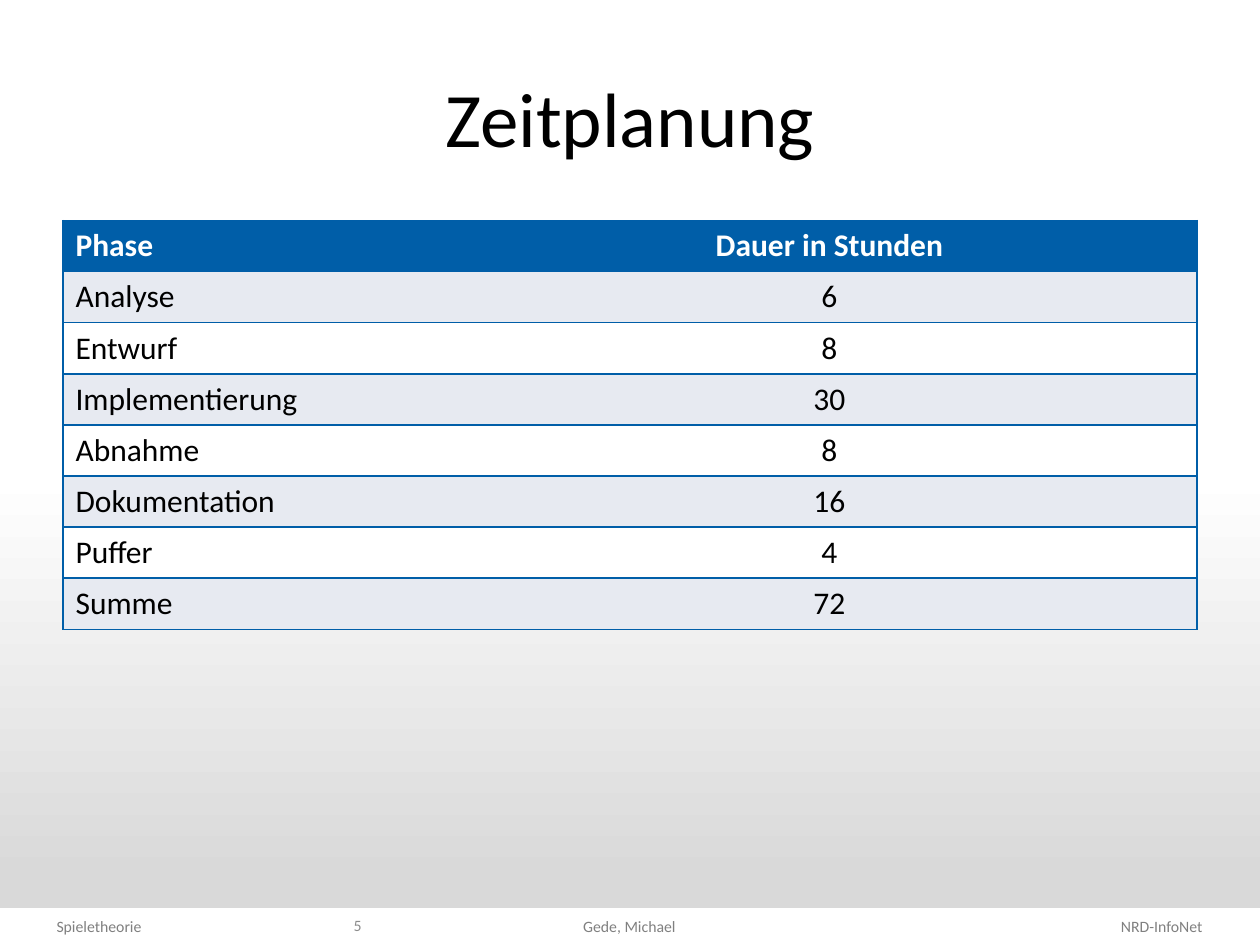
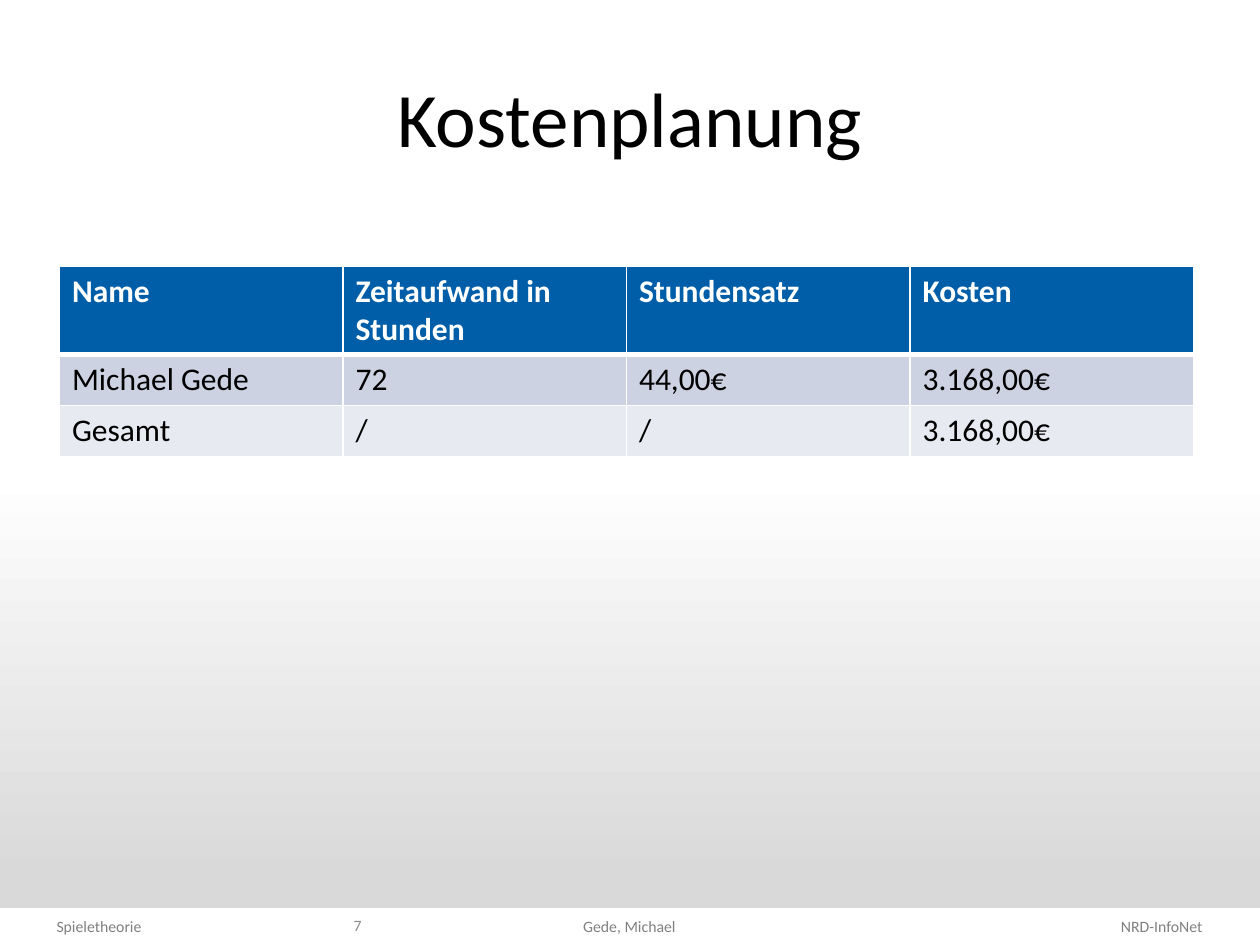
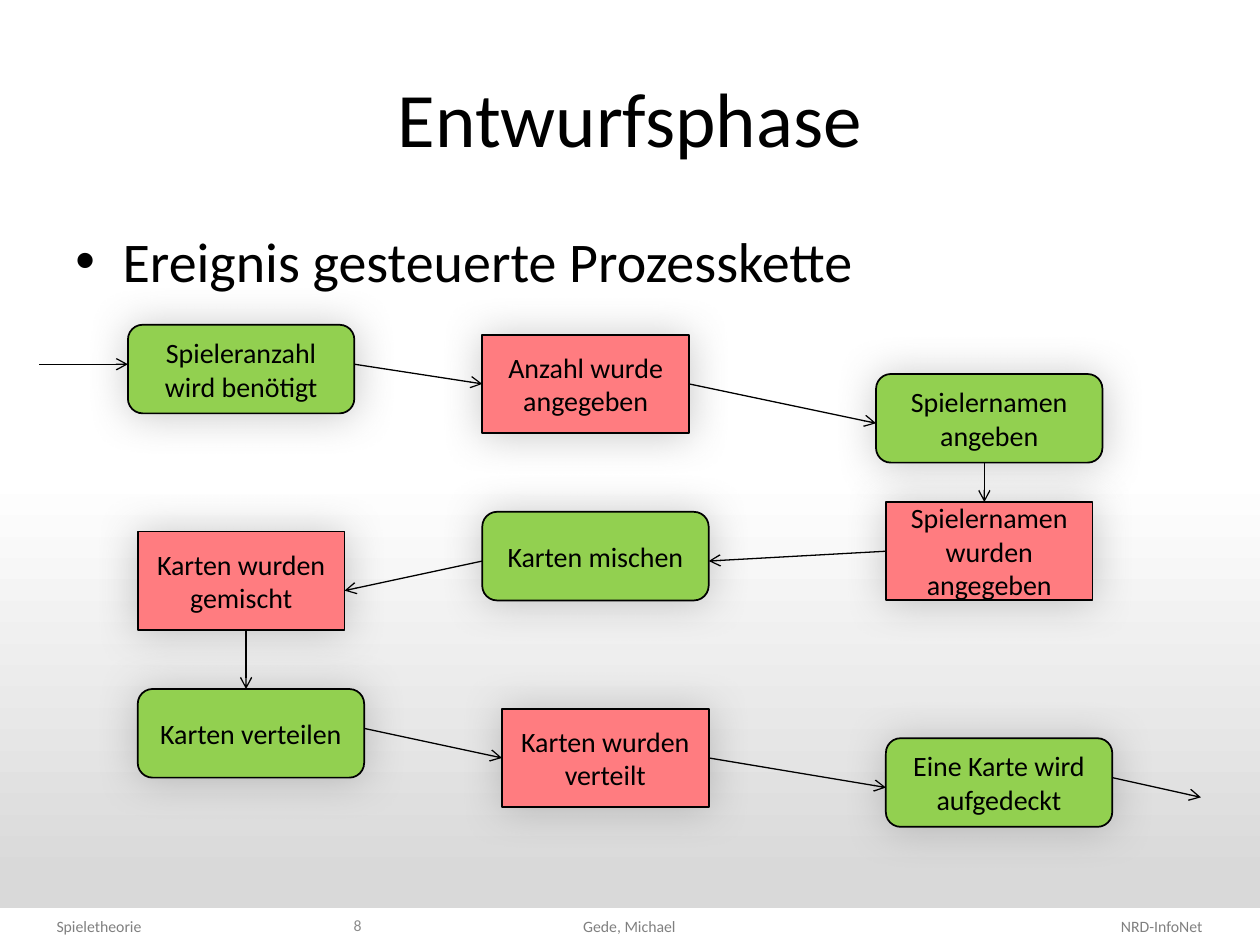
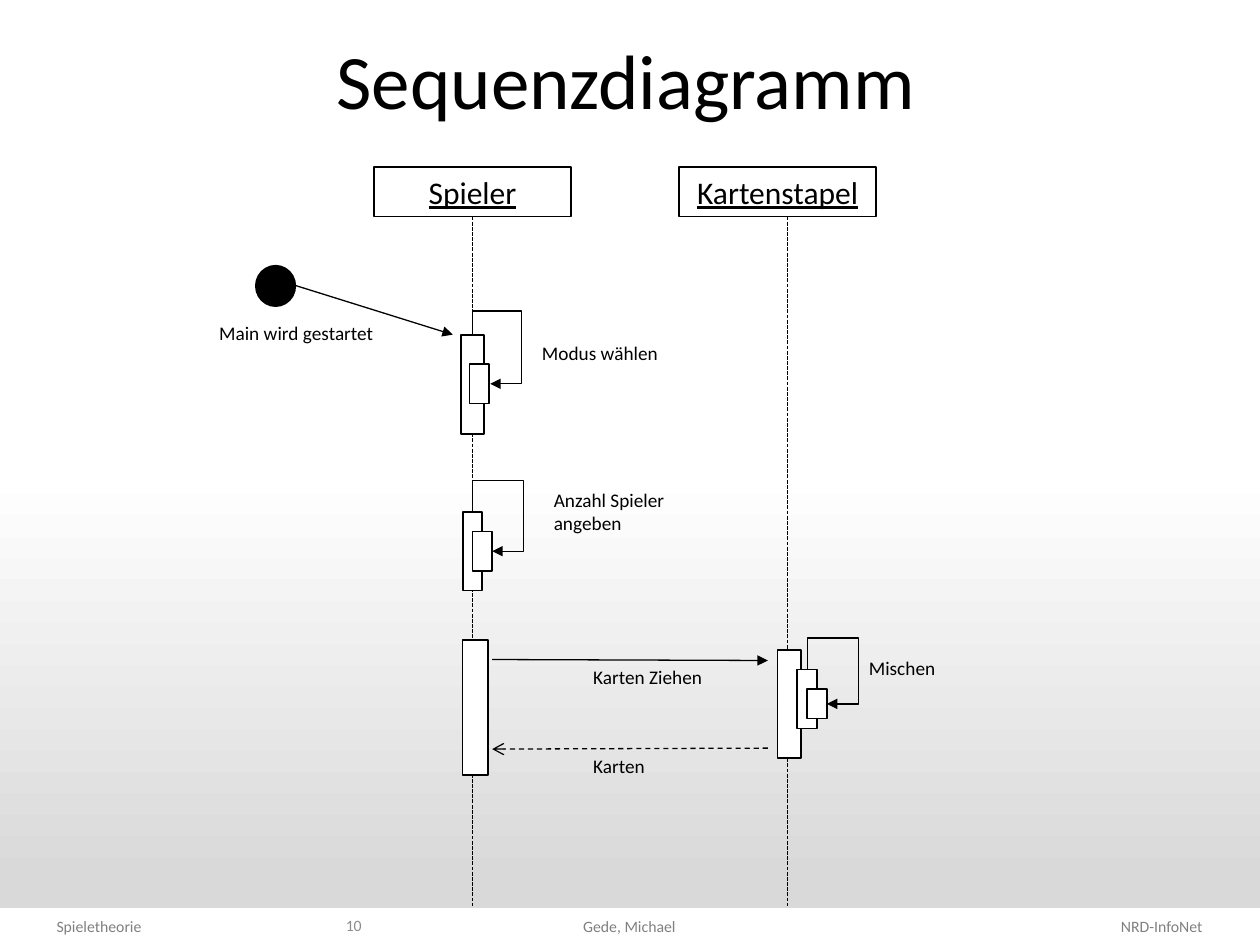
from lxml import etree
from pptx import Presentation
from pptx.dml.color import RGBColor
from pptx.enum import dml, shapes, text
from pptx.oxml import ns
from pptx.util import Pt

WHITE = RGBColor(0xFF, 0xFF, 0xFF)
BLACK = RGBColor(0x00, 0x00, 0x00)
BLUE = RGBColor(0x00, 0x5E, 0xA8)
BAND_DARK = RGBColor(0xCC, 0xD2, 0xE1)
BAND_LIGHT = RGBColor(0xE7, 0xEA, 0xF1)
GREEN = RGBColor(0x92, 0xD0, 0x50)
RED = RGBColor(0xFF, 0x7C, 0x80)
SHADOW_GREY = RGBColor(0x80, 0x80, 0x80)
FOOTER_GREY = RGBColor(0x80, 0x80, 0x80)
NUMBER_GREY = RGBColor(0x8C, 0x8C, 0x8C)
BACK_GREY = RGBColor(0xD9, 0xD9, 0xD9)

FONT = "Calibri"
PAGE_WIDTH, PAGE_HEIGHT = 720, 540
GRID = 45 / 8
TITLE_BOX = (36, 21.6, 648, 90)
FOOTER_BOX = (0, 519, PAGE_WIDTH, 21)
NO_STYLE = "{2D5ABB26-0587-4C30-8999-92F81FD0307C}"
LEFT, CENTER, RIGHT = text.PP_ALIGN.LEFT, text.PP_ALIGN.CENTER, text.PP_ALIGN.RIGHT
TOP, MIDDLE = text.MSO_ANCHOR.TOP, text.MSO_ANCHOR.MIDDLE
RECT = shapes.MSO_SHAPE.RECTANGLE
ROUNDED = shapes.MSO_SHAPE.ROUNDED_RECTANGLE
OVAL = shapes.MSO_SHAPE.OVAL


def points(lengths):
    """Turn plain numbers into point lengths."""
    return [Pt(length) for length in lengths]


def on_grid(box, col, row, width=0, height=0):
    """Turn grid units inside a box into a page position in points."""
    return (box[0] + col * GRID, box[1] + row * GRID, width * GRID, height * GRID)


def add_xml(parent, tag, **attributes):
    """Append a drawing element and return it."""
    names = {key: str(value) for key, value in attributes.items()}
    return etree.SubElement(parent, ns.qn(tag), names)


def write(frame, words, size=18, color=BLACK, align=LEFT, anchor=TOP, bold=False, underline=False):
    """Fill a text frame with one formatted paragraph."""
    frame.word_wrap = True
    frame.vertical_anchor = anchor
    para = frame.paragraphs[0]
    para.alignment = align
    span = para.add_run()
    span.text = words
    span.font.name = FONT
    span.font.size = Pt(size)
    span.font.color.rgb = color
    span.font.bold = bold
    span.font.underline = underline
    return para


def add_label(page, box, words, **style):
    """Add a text box."""
    return write(page.shapes.add_textbox(*points(box)).text_frame, words, **style)


def add_figure(page, kind, box, fill, line=BLACK):
    """Add a flat preset shape with an optional outline."""
    figure = page.shapes.add_shape(kind, *points(box))
    figure.fill.solid()
    figure.fill.fore_color.rgb = fill
    if line is None:
        figure.line.fill.background()
    else:
        figure.line.color.rgb = line
        figure.line.width = Pt(1)
    figure.shadow.inherit = False
    return figure


def add_glow(figure):
    """Give a figure a wide soft shadow."""
    effects = figure.element.spPr.find(ns.qn("a:effectLst"))
    shadow = add_xml(effects, "a:outerShdw", blurRad=Pt(24), dist=Pt(1), dir=5400000, rotWithShape=0)
    color = add_xml(shadow, "a:srgbClr", val=SHADOW_GREY)
    add_xml(color, "a:alpha", val=43000)


def add_line(page, start, end, head=None, dash=None, kind=shapes.MSO_CONNECTOR.STRAIGHT):
    """Add a thin black connector with an optional arrowhead."""
    line = page.shapes.add_connector(kind, *points(start[:2] + end[:2]))
    line.line.color.rgb = BLACK
    line.line.width = Pt(0.75)
    if dash is not None:
        line.line.dash_style = dash
    if head:
        add_xml(line.line._get_or_add_ln(), "a:tailEnd", type=head)
    add_xml(line.element.spPr, "a:effectLst")
    return line


def add_loop(page, start, end, rise, reach):
    """Add a bent arrow that rises from start, reaches right and returns to end."""
    across, down = end[0] - start[0], end[1] - start[1]
    mid_x, mid_y = (start[0] + end[0]) / 2, (start[1] + end[1]) / 2
    right_top = (mid_x + down / 2, mid_y - across / 2)
    left_bottom = (mid_x - down / 2, mid_y + across / 2)
    loop = add_line(page, right_top, left_bottom, head="triangle", kind=shapes.MSO_CONNECTOR.ELBOW)
    properties = loop.element.spPr
    properties.find(ns.qn("a:xfrm")).set("rot", str(270 * 60000))
    geometry = properties.find(ns.qn("a:prstGeom"))
    geometry.set("prst", "bentConnector4")
    guides = geometry.find(ns.qn("a:avLst"))
    for name, ratio in (("adj1", -rise / down), ("adj2", reach / across)):
        add_xml(guides, "a:gd", name=name, fmla=f"val {round(ratio * 100000)}")


def set_borders(cell, color, widths):
    """Draw the cell sides named in widths, which maps L, R, T, B to points."""
    properties = cell._tc.get_or_add_tcPr()
    sides = [side for side in "LRTB" if side in widths]
    for index, side in enumerate(sides):
        line = add_xml(properties, f"a:ln{side}", w=Pt(widths[side]))
        add_xml(add_xml(line, "a:solidFill"), "a:srgbClr", val=color)
        properties.insert(index, line)


def add_grid(page, box, rows, widths, heights, fills, aligns, borders):
    """Add a table; borders gives the line colour and widths of each cell."""
    table = page.shapes.add_table(len(rows), len(widths), *points(box)).table
    table._tbl.tblPr.find(ns.qn("a:tableStyleId")).text = NO_STYLE
    for column, width in zip(table.columns, widths):
        column.width = Pt(width)
    for r, values in enumerate(rows):
        table.rows[r].height = Pt(heights[r])
        for c, value in enumerate(values):
            cell = table.cell(r, c)
            cell.fill.solid()
            cell.fill.fore_color.rgb = fills[r]
            write(cell.text_frame, value, color=BLACK if r else WHITE, bold=r == 0, align=aligns[c])
            set_borders(cell, *borders(r, c))


def add_footer(page, box, number):
    """Add the white band with its three texts and the slide number."""
    left, top, width, height = box
    add_figure(page, RECT, box, WHITE, line=None)
    texts = (
        ("Spieletheorie", 25.2, 203, LEFT),
        ("Gede, Michael", 300.2, 118.8, CENTER),
        ("NRD-InfoNet", 575.3, 118.8, RIGHT),
    )
    for words, offset, span_width, align in texts:
        add_label(page, (left + offset, top + 1.5, span_width, 18), words,
                  size=9, color=FOOTER_GREY, align=align)
    add_label(page, (left + 84.2, top - 1.3, 129.6, 22.3), number,
              size=9, color=NUMBER_GREY, align=RIGHT, anchor=MIDDLE)


def add_page(deck, title, number, title_box=TITLE_BOX):
    """Add a title-only slide with its title and footer."""
    page = deck.slides.add_slide(deck.slide_layouts[5])
    holder = page.shapes.title
    holder.left, holder.top, holder.width, holder.height = points(title_box)
    write(holder.text_frame, title, size=44, align=CENTER, anchor=MIDDLE)
    add_footer(page, FOOTER_BOX, number)
    return page


def add_schedule(page, box):
    """Add the table of project phases with blue rules."""
    rows = [
        ("Phase", "Dauer in Stunden"),
        ("Analyse", "6"),
        ("Entwurf", "8"),
        ("Implementierung", "30"),
        ("Abnahme", "8"),
        ("Dokumentation", "16"),
        ("Puffer", "4"),
        ("Summe", "72"),
    ]
    fills = [BLUE] + [BAND_LIGHT if r % 2 else WHITE for r in range(1, len(rows))]
    add_grid(page, box, rows, (228, box[2] - 228), [box[3] / len(rows)] * len(rows), fills,
             (LEFT, CENTER), lambda r, c: (BLUE, {"LR"[c]: 1, "T": 1, "B": 1}))


def add_costs(page, box):
    """Add the cost table with white rules."""
    rows = [
        ("Name", "Zeitaufwand in Stunden", "Stundensatz", "Kosten"),
        ("Michael Gede", "72", "44,00€", "3.168,00€"),
        ("Gesamt", "/", "/", "3.168,00€"),
    ]

    def borders(r, c):
        """Thicken the rule between header and body."""
        return WHITE, {"L": 1, "R": 1, "T": 3 if r == 1 else 1, "B": 1 if r else 3}

    add_grid(page, box, rows, [box[2] / 4] * 4, (box[3] - 58.4, 29.2, 29.2),
             (BLUE, BAND_DARK, BAND_LIGHT), [LEFT] * 4, borders)


def add_bullet(page, box, words):
    """Add one bulleted line."""
    para = add_label(page, box, words, size=32)
    para.space_before = Pt(6.4)
    properties = para._p.get_or_add_pPr()
    properties.set("marL", str(Pt(27)))
    properties.set("indent", str(Pt(-27)))
    add_xml(properties, "a:buFont", typeface="Arial")
    add_xml(properties, "a:buChar", char="•")


def add_process(page, box):
    """Add the chain of green functions and red events."""
    steps = (
        ("Spieleranzahl wird benötigt", 9, 0),
        ("Anzahl wurde angegeben", 45, 1),
        ("Spielernamen angeben", 85, 5),
        ("Spielernamen wurden angegeben", 86, 18),
        ("Karten mischen", 45, 19),
        ("Karten wurden gemischt", 10, 21),
        ("Karten verteilen", 10, 37),
        ("Karten wurden verteilt", 47, 39),
        ("Eine Karte wird aufgedeckt", 86, 42),
    )
    arrows = (
        (0, 4, 9, 4), (32, 4, 45, 6), (66, 6, 85, 10), (96, 14, 96, 18), (86, 23, 68, 24),
        (45, 24, 31, 27), (21, 31, 21, 37), (33, 41, 47, 44), (68, 44, 86, 47), (109, 46, 118, 48),
    )
    looks = ((ROUNDED, GREEN, 23, 9), (RECT, RED, 21, 10))
    for index, (words, col, row) in enumerate(steps):
        kind, fill, width, height = looks[index % 2]
        figure = add_figure(page, kind, on_grid(box, col, row, width, height), fill)
        add_glow(figure)
        write(figure.text_frame, words, size=16, align=CENTER, anchor=MIDDLE)
    for x1, y1, x2, y2 in arrows:
        add_line(page, on_grid(box, x1, y1), on_grid(box, x2, y2), head="arrow")


def add_sequence(page, box):
    """Add the sequence diagram with two lifelines."""
    for words, col, life in (("Spieler", 17, 27), ("Kartenstapel", 48, 59)):
        add_line(page, on_grid(box, life, 5), on_grid(box, life, 75), dash=dml.MSO_LINE.SQUARE_DOT)
        header = add_figure(page, RECT, on_grid(box, col, 0, 20, 5), WHITE)
        write(header.text_frame, words, align=CENTER, anchor=MIDDLE, underline=True)
    bars = (
        (25.8, 17, 2.4, 10.1), (26.7, 20, 2, 4), (26, 35, 2, 8), (27, 37, 2, 4),
        (26, 48, 2.6, 13.7), (58, 49, 2.4, 11), (60, 51, 2, 6), (61, 53, 2, 3),
    )
    for bar in bars:
        add_figure(page, RECT, on_grid(box, *bar), WHITE)
    add_figure(page, OVAL, on_grid(box, 5, 10, 4, 4.1), BLACK)
    loops = (
        (27, 17, 28.8, 22, 2.4, 5), (27, 35, 29, 39, 3.2, 5.2), (61, 51, 63, 54.5, 3.2, 5.2),
    )
    for x1, y1, x2, y2, rise, reach in loops:
        add_loop(page, on_grid(box, x1, y1), on_grid(box, x2, y2), rise * GRID, reach * GRID)
    messages = (
        (9, 12, 25, 17, "triangle", None),
        (29, 50, 57, 50.1, "triangle", None),
        (57, 59, 29, 59.1, "arrow", dml.MSO_LINE.DASH),
    )
    for x1, y1, x2, y2, head, dash in messages:
        add_line(page, on_grid(box, x1, y1), on_grid(box, x2, y2), head, dash)
    labels = (
        ("Main wird gestartet", 0, 15, 18.7, 3.7),
        ("Modus wählen", 32.8, 17, 15.2, 3.7),
        ("Anzahl Spieler angeben", 34, 32, 15.2, 6),
        ("Karten Ziehen", 38, 50, 15.2, 3.7),
        ("Karten", 38, 59, 15.2, 3.7),
        ("Mischen", 66, 49, 14.6, 3.7),
    )
    for words, *place in labels:
        add_label(page, on_grid(box, *place), words, size=11)


def set_background(master):
    """Fade every slide from white to grey."""
    fill = master.background.fill
    fill.gradient()
    fill.gradient_angle = 270
    for stop, position, color in zip(fill.gradient_stops, (0.5, 0.93), (WHITE, BACK_GREY)):
        stop.position = position
        stop.color.rgb = color


def main():
    """Build and save the deck."""
    deck = Presentation()
    deck.slide_width, deck.slide_height = Pt(PAGE_WIDTH), Pt(PAGE_HEIGHT)
    set_background(deck.slide_master)
    add_schedule(add_page(deck, "Zeitplanung", "5"), (36, 126, 648, 233.6))
    add_costs(add_page(deck, "Kostenplanung", "7"), (34, 152, 648, 108.7))
    design = add_page(deck, "Entwurfsphase", "8")
    add_bullet(design, (36, 126, 648, 65.5), "Ereignis gesteuerte Prozesskette")
    add_process(design, (4 * GRID, 33 * GRID, 118 * GRID, 51 * GRID))
    sequence = add_page(deck, "Sequenzdiagramm", "10", title_box=(33.8, 0, 648, 90))
    add_sequence(sequence, (21 * GRID, 17 * GRID, 81 * GRID, 75 * GRID))
    deck.save("out.pptx")


if __name__ == "__main__":
    main()
